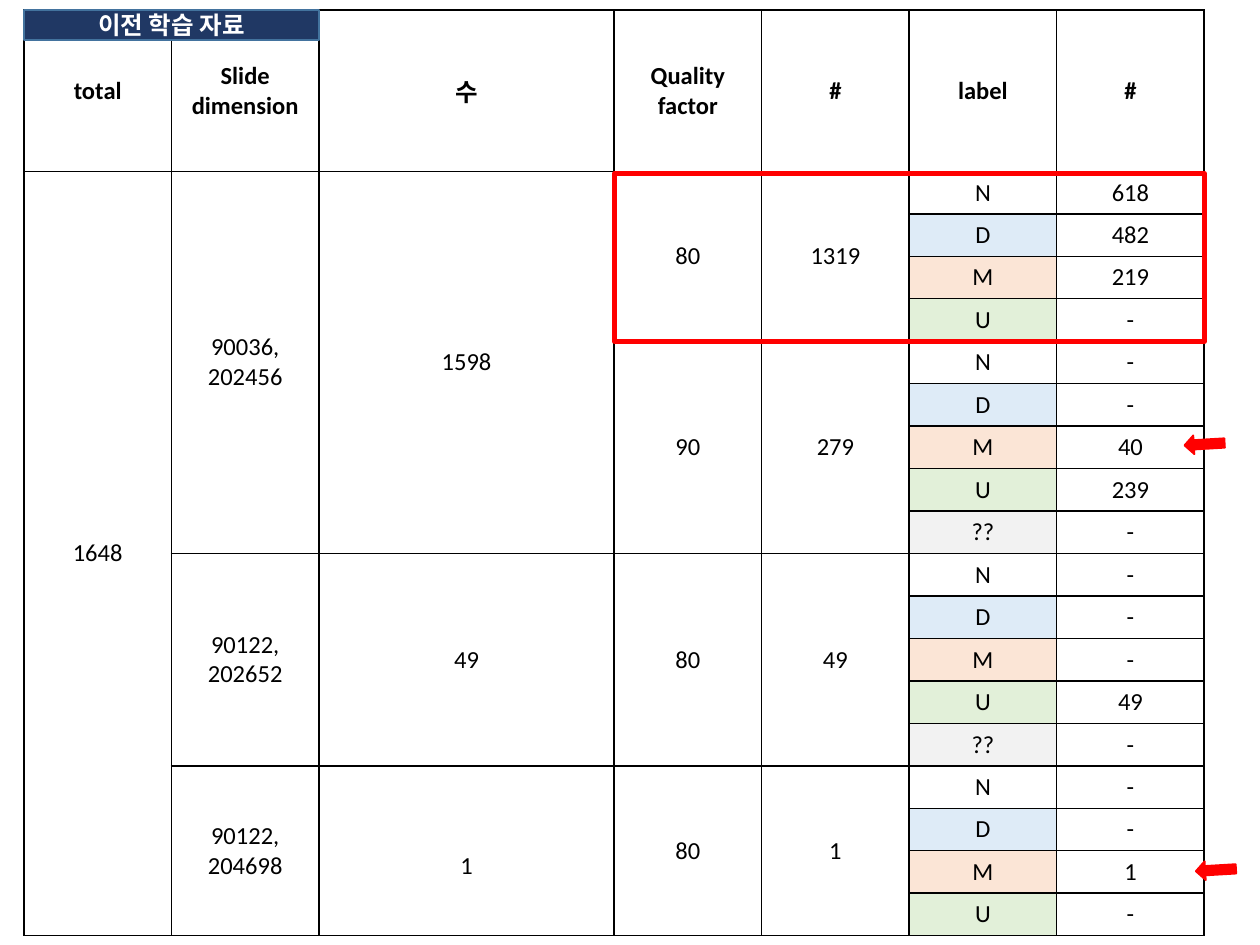
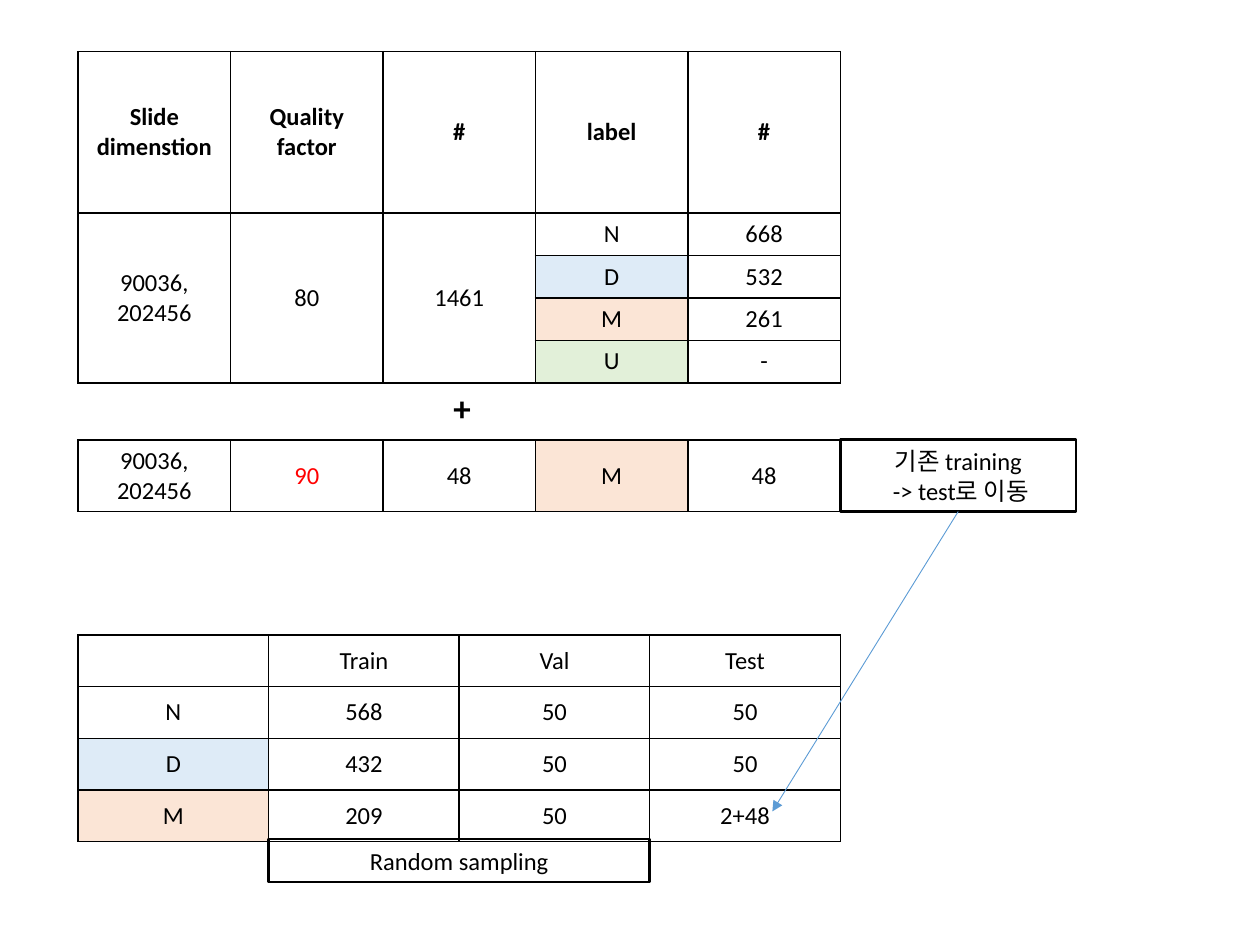
from lxml import etree
from pptx import Presentation
from pptx import util as u
from pptx.dml.color import RGBColor
from pptx.enum import shapes, text
from pptx.oxml import ns

UNIT = u.Inches(0.1)
COLS, ROWS = 100, 75
FACE = "Calibri"
BLACK = RGBColor(0x00, 0x00, 0x00)
WHITE = RGBColor(0xFF, 0xFF, 0xFF)
RED = RGBColor(0xFF, 0x00, 0x00)
NAVY = RGBColor(0x20, 0x38, 0x64)
STEEL = RGBColor(0x43, 0x73, 0x9E)
BLUE = RGBColor(0x5B, 0x9B, 0xD5)
TINTS = {
    "D": RGBColor(0xDE, 0xEB, 0xF7),
    "M": RGBColor(0xFB, 0xE5, 0xD6),
    "U": RGBColor(0xE2, 0xF0, 0xD9),
    "??": RGBColor(0xF2, 0xF2, 0xF2),
}
LABELS = ["N", "D", "M", "U", "??"]
HEAD, LINE, STEP = 12.8, 3.3, 4.1


def grid(*marks):
    return [int(mark * UNIT) for mark in marks]


def write(frame, words, ink=BLACK, bold=False, size=14, align=text.PP_ALIGN.CENTER):
    for i, part in enumerate(words.split("\n")):
        para = frame.add_paragraph() if i else frame.paragraphs[0]
        para.alignment = align
        for j, piece in enumerate(part.split("\v")):
            if j:
                para.add_line_break()
            run = para.add_run()
            run.text = piece
            run.font.name = FACE
            run.font.size = u.Pt(size)
            run.font.bold = bold
            run.font.color.rgb = ink


def edge(cell):
    props = cell._tc.get_or_add_tcPr()
    for i, side in enumerate(("lnL", "lnR", "lnT", "lnB")):
        line = etree.Element(ns.qn("a:" + side), w=str(u.Pt(1)))
        fill = etree.SubElement(line, ns.qn("a:solidFill"))
        etree.SubElement(fill, ns.qn("a:srgbClr"), val=str(BLACK))
        props.insert(i, line)


def table(slide, left, top, wide, parts, highs, data, head=False, inks={}):
    box = grid(left, top, wide, sum(highs))
    tab = slide.shapes.add_table(len(data), len(parts), *box).table
    tab.first_row = tab.horz_banding = False
    for col, part in zip(tab.columns, parts):
        col.width = int(wide * UNIT * part / sum(parts))
    for row, high in zip(tab.rows, highs):
        row.height = int(high * UNIT)
    for r, line in enumerate(data):
        for c, words in enumerate(line):
            cell = tab.cell(r, c)
            cell.vertical_anchor = text.MSO_ANCHOR.MIDDLE
            cell.fill.solid()
            cell.fill.fore_color.rgb = TINTS.get(words, WHITE)
            edge(cell)
            if words:
                write(cell.text_frame, words, inks.get(words, BLACK), head and r == 0)
    for c in range(len(parts)):
        starts = [r for r, line in enumerate(data) if line[c] is not None]
        for start, end in zip(starts, starts[1:] + [len(data)]):
            if end - start > 1:
                tab.cell(start, c).merge(tab.cell(end - 1, c))
    return tab


def spread(groups):
    rows = []
    for *lead, counts in groups:
        for i, (label, count) in enumerate(zip(LABELS, counts.split())):
            rows.append((lead if i == 0 else [None] * len(lead)) + [label, count])
    return rows


def shape(slide, kind, box, fill=None, line=BLACK, width=1.5):
    form = slide.shapes.add_shape(kind, *grid(*box))
    form.shadow.inherit = False
    if fill is None:
        form.fill.background()
    else:
        form.fill.solid()
        form.fill.fore_color.rgb = fill
    form.line.color.rgb = line
    form.line.width = u.Pt(width)
    return form


def block(slide, box, words=None, ink=BLACK, bold=False, **look):
    form = shape(slide, shapes.MSO_SHAPE.RECTANGLE, box, **look)
    if words:
        write(form.text_frame, words, ink, bold)
    return form


def flag(slide, left, top):
    form = shape(slide, shapes.MSO_SHAPE.RIGHT_ARROW, (left, top, 3.2, 1.5), RED, RED, 1)
    form.rotation = 176.6


def link(slide, source, x, y):
    start = source.left + source.width // 2, source.top + source.height
    line = slide.shapes.add_connector(shapes.MSO_CONNECTOR.STRAIGHT, *start, *grid(x, y))
    line.begin_connect(source, 2)
    line.line.color.rgb = BLUE
    line.line.width = u.Pt(0.5)
    etree.SubElement(line.line._get_or_add_ln(), ns.qn("a:tailEnd"), type="triangle")
    etree.SubElement(line._element.spPr, ns.qn("a:effectLst"))


def past(slide, left, top, wide):
    names = ["total", "Slide dimension", "수", "Quality factor", "#", "label", "#"]
    rows = spread([
        ("1648", "90036,\n202456", "1598", "80", "1319", "618 482 219 -"),
        (None, None, None, "90", "279", "- - 40 239 -"),
        (None, "90122,\v202652", "49", "80", "49", "- - - 49 -"),
        (None, "90122,\v204698", "1", "80", "1", "- - 1 -"),
    ])
    highs = [HEAD] + [LINE] * len(rows)
    tab = table(slide, left, top, wide, [1, 1, 2, 1, 1, 1, 1], highs, [names] + rows, True)
    tab.cell(len(rows) - 3, 2).margin_top = u.Inches(0.29)
    part = wide / 8
    block(slide, (left + 4 * part, top + 13, 4 * part, 13.3), line=RED, width=3)
    block(slide, (left, top, 2 * part, 2.4), "이전 학습 자료", WHITE, True,
          fill=NAVY, line=STEEL, width=1)
    flag(slide, left + wide - 1.6, top + 33.7)
    flag(slide, left + wide - 0.7, top + 67.5)


def pool(slide, left, top, wide):
    names = ["Slide dimenstion", "Quality factor", "#", "label", "#"]
    rows = spread([("90036,\n202456", "80", "1461", "668 532 261 -")])
    table(slide, left, top, wide, [1] * 5, [HEAD] + [LINE] * 4, [names] + rows, True)
    plus = slide.shapes.add_textbox(*grid(left + 28.8, top + 26.1, 10.9, 4.4))
    plus.text_frame.word_wrap = True
    write(plus.text_frame, "+", bold=True, size=20, align=text.PP_ALIGN.LEFT)


def extra(slide, left, top, wide):
    row = ["90036,\n202456", "90", "48", "M", "48"]
    table(slide, left, top, wide, [1] * 5, [5.7], [row], inks={"90": RED})
    return block(slide, (left + wide, top, 18.7, 5.7), "기존 training\v -> test로 이동")


def split(slide, left, top, wide):
    rows = [
        ["", "Train", "Val", "Test"],
        ["N", "568", "50", "50"],
        ["D", "432", "50", "50"],
        ["M", "209", "50", "2+48"],
    ]
    table(slide, left, top, wide, [1] * 4, [STEP] * 4, rows)
    block(slide, (left + wide / 4, top + 16.2, wide / 2, 3.4), "Random sampling")


def main():
    deck = Presentation()
    deck.slide_width, deck.slide_height = grid(COLS, ROWS)
    blank = deck.slide_layouts[6]
    past(deck.slides.add_slide(blank), 1.9, 0.8, 93.7)
    slide = deck.slides.add_slide(blank)
    left, wide = 6.2, 60.5
    pool(slide, left, 4.1, wide)
    note = extra(slide, left, 34.9, wide)
    split(slide, left, 50.4, wide)
    link(slide, note, left + 55.1, 64.4)
    deck.save("out.pptx")


if __name__ == "__main__":
    main()
